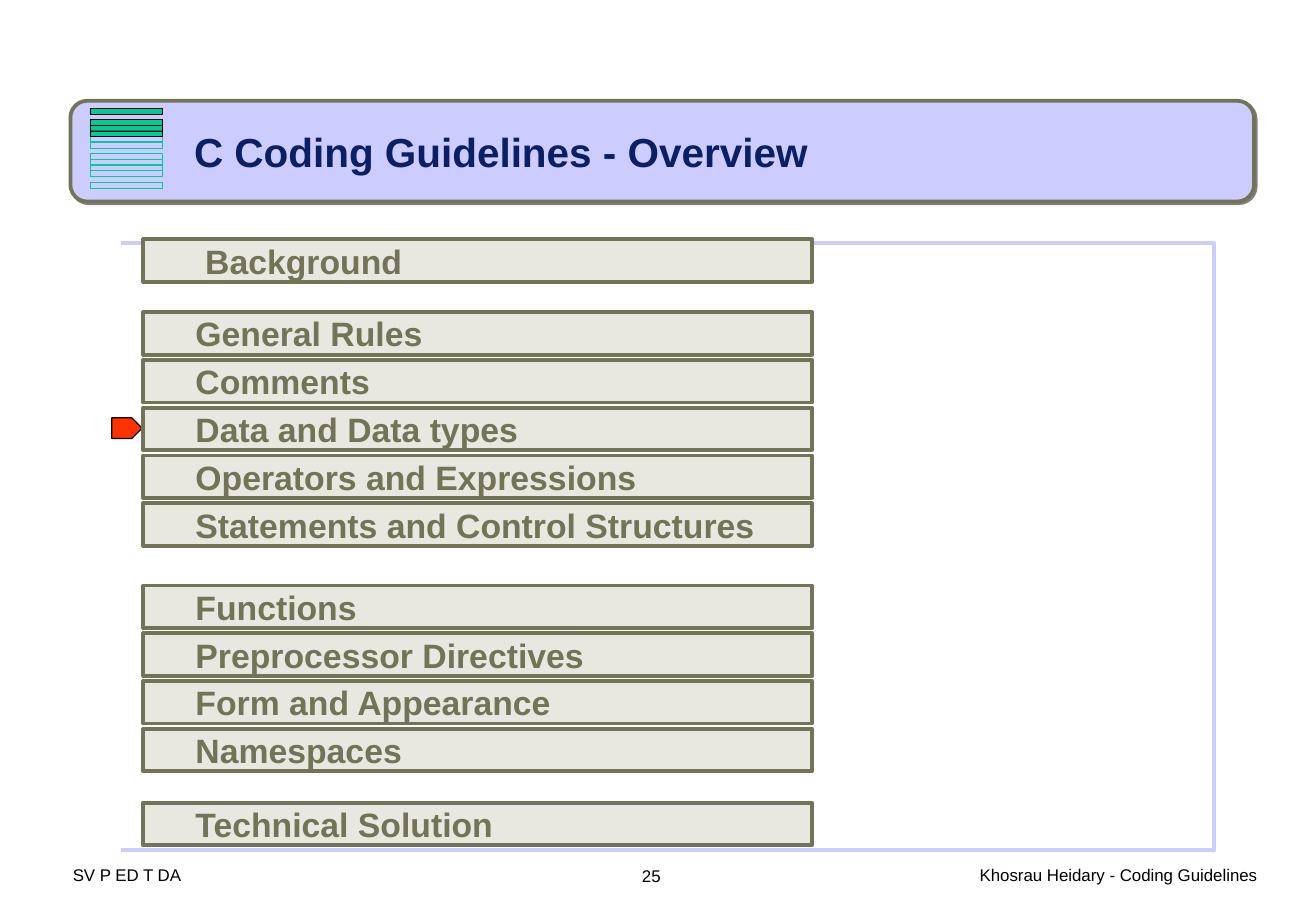
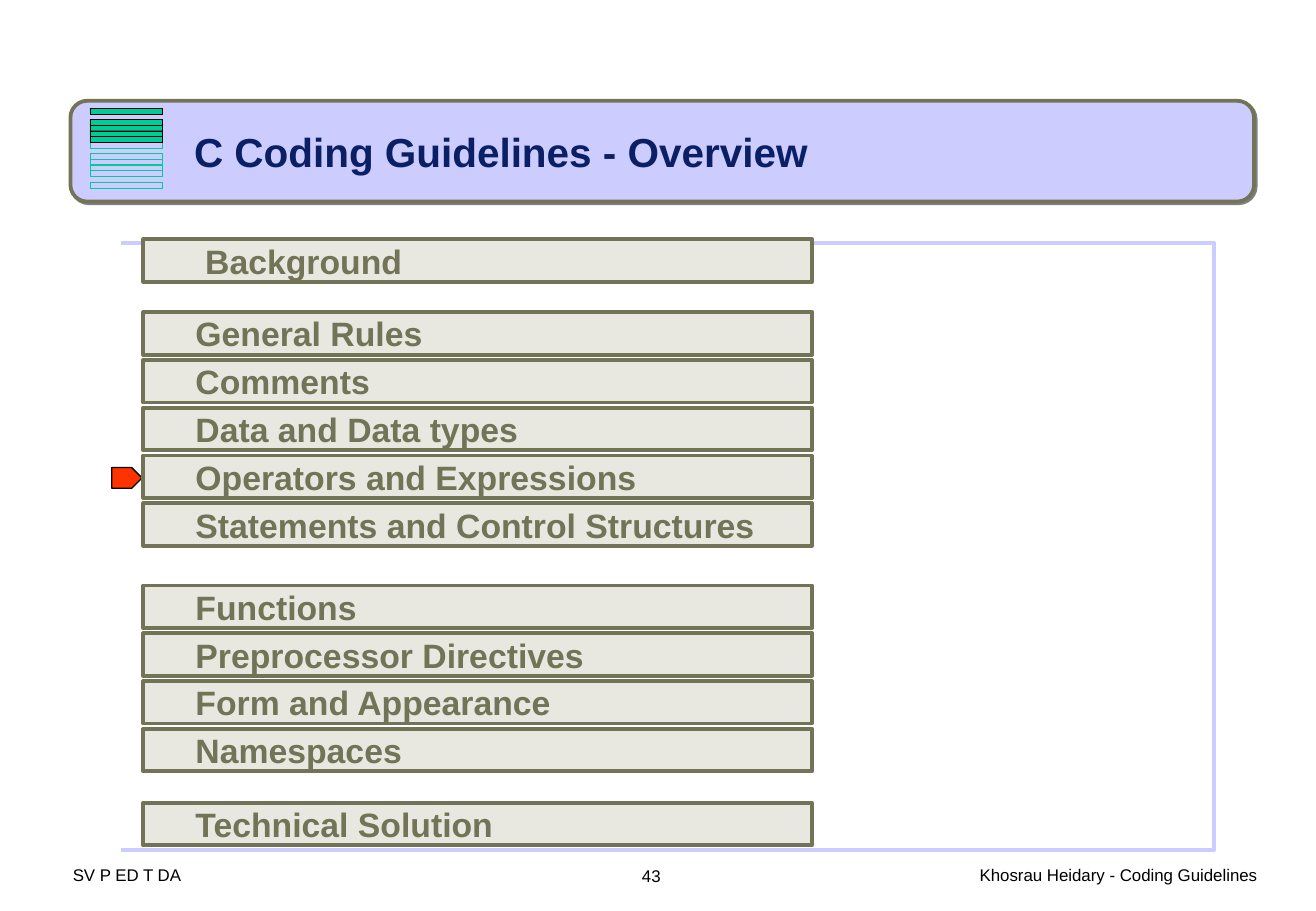
import math
from lxml import etree
from pptx import Presentation
from pptx.dml.color import RGBColor
from pptx.enum import shapes, text
from pptx.oxml import ns
from pptx.util import Inches, Pt

FONT = "Arial"
BLACK = RGBColor(0x00, 0x00, 0x00)
NAVY = RGBColor(0x0A, 0x1F, 0x64)
LAVENDER = RGBColor(0xCC, 0xCC, 0xFF)
OLIVE = RGBColor(0x72, 0x73, 0x57)
STONE = RGBColor(0xE8, 0xE8, 0xE0)
GREEN = RGBColor(0x00, 0xCC, 0x99)
RED = RGBColor(0xFF, 0x33, 0x00)

ROW_PITCH = 1.18 / 3
BAR_PITCH = 0.14 / 3
GROUPS = [
    (1.97, 0.89, ["Background"]),
    (2.57, 0.98, ["General Rules", "Comments", "Data and Data types",
                  "Operators and Expressions", "Statements and Control Structures"]),
    (4.82, 1.26, ["Functions", "Preprocessor Directives", "Form and Appearance", "Namespaces"]),
    (6.61, 1.50, ["Technical Solution"]),
]
PAGES = [("25", 3, 3.44), ("43", 4, 3.85)]

FRAME_LEFT, FRAME_TOP, FRAME_RIGHT, FRAME_BOTTOM = 0.58, 1.83, 10.33, 7.08
CORNER = 0.21


def write(box, content, size=10, color=BLACK, bold=False, insets=(0, 0.04), wrap=True,
          anchor=text.MSO_ANCHOR.TOP):
    frame = box.text_frame
    frame.word_wrap = wrap
    frame.vertical_anchor = anchor
    frame.margin_left, frame.margin_right = Inches(insets[0]), Inches(0)
    frame.margin_top = frame.margin_bottom = Inches(insets[1])
    para = frame.paragraphs[0]
    para.alignment = text.PP_ALIGN.LEFT
    span = para.add_run()
    span.text = content
    span.font.name = FONT
    span.font.size = Pt(size)
    span.font.bold = bold
    span.font.color.rgb = color


def add_box(page, kind, place, fill, line, weight):
    box = page.shapes.add_shape(kind, *[Inches(length) for length in place])
    box.shadow.inherit = False
    if fill is None:
        box.fill.background()
    else:
        box.fill.solid()
        box.fill.fore_color.rgb = fill
    box.line.color.rgb = line
    box.line.width = Pt(weight)
    return box


rows = [
    (name, group_top + index * ROW_PITCH, bar_top + index * BAR_PITCH)
    for group_top, bar_top, names in GROUPS
    for index, name in enumerate(names)
]

outline = []
for center_y, start in [(FRAME_TOP + CORNER, -90), (FRAME_BOTTOM - CORNER, 0)]:
    for degrees in range(start, start + 91, 10):
        angle = math.radians(degrees)
        outline.append((FRAME_RIGHT - CORNER + CORNER * math.cos(angle),
                        center_y + CORNER * math.sin(angle)))
outline.append((FRAME_LEFT, FRAME_BOTTOM))

deck = Presentation()
deck.slide_width = Inches(10.84)
deck.slide_height = Inches(7.5)

for number, current, marker_top in PAGES:
    page = deck.slides.add_slide(deck.slide_layouts[6])

    for content, left, width, insets in [
        ("SV P ED T DA", 0.6, 2.06, (0, 0.04)),
        ("Khosrau Heidary - Coding Guidelines", 8.07, 2.49, (0, 0.04)),
        (number, 5.19, 0.83, (0.1, 0.05)),
    ]:
        footer = page.shapes.add_textbox(Inches(left), Inches(7.08), Inches(width), Inches(0.25))
        write(footer, content, insets=insets)

    builder = page.shapes.build_freeform(FRAME_LEFT, FRAME_TOP, scale=Inches(1))
    builder.add_line_segments(outline, close=False)
    border = builder.convert_to_shape()
    border.shadow.inherit = False
    border.fill.background()
    border.line.color.rgb = LAVENDER
    border.line.width = Pt(2.25)

    band = add_box(page, shapes.MSO_SHAPE.ROUNDED_RECTANGLE, (0.58, 0.83, 9.75, 0.83),
                   LAVENDER, OLIVE, 2.25)
    effects = band.element.spPr.find(ns.qn("a:effectLst"))
    shadow = etree.SubElement(effects, ns.qn("a:outerShdw"), dist=str(Pt(1.4)),
                              dir="2700000", algn="ctr", rotWithShape="0")
    etree.SubElement(shadow, ns.qn("a:srgbClr"), val="808080")

    title = page.shapes.add_textbox(Inches(1.5), Inches(1), Inches(5.25), Inches(0.5))
    write(title, "C Coding Guidelines - Overview", size=24, color=NAVY, bold=True,
          insets=(0.1, 0.05), wrap=False)

    for index, (name, row_top, bar_top) in reversed(list(enumerate(rows))):
        reached = index <= current
        add_box(page, shapes.MSO_SHAPE.RECTANGLE, (0.74, bar_top, 0.6, 0.05),
                GREEN if reached else None, BLACK if reached else GREEN, 0.25)

    add_box(page, shapes.MSO_SHAPE.PENTAGON, (0.92, marker_top, 0.25, 0.17), RED, BLACK, 0.75)

    for index, (name, row_top, bar_top) in enumerate(rows):
        row = add_box(page, shapes.MSO_SHAPE.RECTANGLE, (1.18, row_top, 5.51, 0.35),
                      STONE, OLIVE, 2.25)
        write(row, name, size=20, color=OLIVE, bold=True,
              insets=(0.43 if index else 0.51, 0.12), anchor=text.MSO_ANCHOR.MIDDLE)

deck.save("out.pptx")
